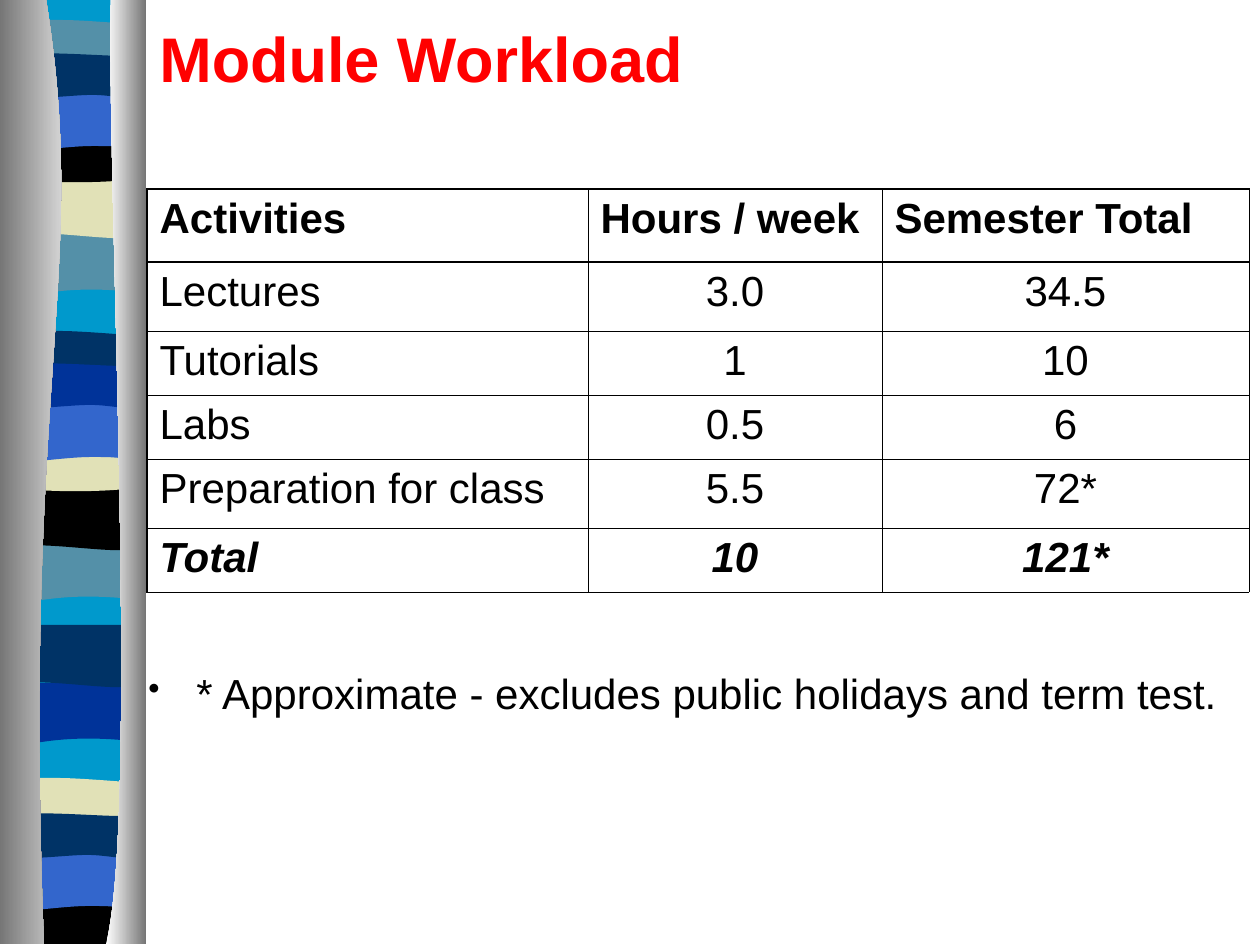
from lxml.etree import SubElement
from pptx import Presentation
from pptx.dml.color import RGBColor
from pptx.enum.text import MSO_ANCHOR, PP_ALIGN
from pptx.oxml.ns import qn
from pptx.util import Emu, Pt

SCALE = 914400 / 126
BLACK = RGBColor(0x00, 0x00, 0x00)
RED = RGBColor(0xFF, 0x00, 0x00)
WHITE = RGBColor(0xFF, 0xFF, 0xFF)
GRAY = RGBColor(0x76, 0x76, 0x76)
CYAN = RGBColor(0x00, 0x99, 0xCC)
SLATE = RGBColor(0x54, 0x90, 0xA8)
SAND = RGBColor(0xE1, 0xE1, 0xB7)
BLUE = RGBColor(0x33, 0x66, 0xCC)
ROYAL = RGBColor(0x00, 0x33, 0x99)
NAVY = RGBColor(0x00, 0x33, 0x66)


def write(para, text, size=24, color=BLACK, bold=False, italic=False, align=PP_ALIGN.LEFT):
    para.alignment = align
    span = para.add_run()
    span.text = text
    span.font.name = "Arial"
    span.font.size = Pt(size)
    span.font.color.rgb = color
    span.font.bold = bold
    span.font.italic = italic


def draw_outline(steps, left=0, top=0):
    points = [(left + x, top + y) for step in steps for x, y in zip(step[::2], step[1::2])]
    scaled = [(x * SCALE, y * SCALE) for x, y in points]
    builder = ribbon.shapes.build_freeform(*scaled[0])
    builder.add_line_segments(scaled[1:], close=True)
    shape = builder.convert_to_shape()
    lines = iter(list(shape._element.iter(qn("a:lnTo"))))
    for step in steps[1:]:
        line = next(lines)
        if len(step) == 6:
            line.tag = qn("a:cubicBezTo")
            for _ in range(2):
                control = next(lines)
                line.append(control[0])
                control.getparent().remove(control)
    shape.shadow.inherit = False
    shape.line.fill.background()
    return shape


deck = Presentation()
deck.slide_width = Emu(int(1260 * SCALE))
deck.slide_height = Emu(int(945 * SCALE))
page = deck.slides.add_slide(deck.slide_layouts[6])
ribbon = page.shapes.add_group_shape()

BACKDROP = [(134, 0), (134, 941), (0, 941), (0, 0)]
DRAPE = [(135, 0), (135, 59), (42, 48, 23, 68, 0, 59), (0, 0)]
SWELL = [(135, 0), (135, 59), (112, 69, 42, 52, 0, 59), (0, 0)]
LENS = [(135, 6), (135, 38), (112, 43, 23, 43, 0, 38), (0, 6),
        (9, 0, 29, 1, 52, 1), (74, 1, 117, 5, 135, 6)]
BOWL = [(135, 0), (135, 41), (112, 48, 23, 48, 0, 41), (0, 0), (83, 6, 106, 0, 135, 0)]
BASE = [(135, 0), (135, 47), (0, 47), (0, 0), (83, 6, 106, 0, 135, 0)]
ARCH = [(135, 0), (135, 59), (113, 53, 106, 53, 83, 53), (60, 53, 21, 59, 0, 59), (0, 0)]
WAVE = [(134, 6), (134, 45), (125, 52, 105, 45, 82, 45), (59, 45, 13, 52, 0, 45),
        (0, 6), (19, 0, 91, 6, 112, 6), (135, 6, 129, 6, 134, 6)]

bands = [
    (BACKDROP, 10, -1, CYAN),
    (DRAPE, 9, 234, SLATE), (SWELL, 10, 176, SAND), (LENS, 10, 19, SLATE),
    (BOWL, 9, 136, BLACK), (ARCH, 9, 93, BLUE), (WAVE, 10, 50, NAVY),
    (DRAPE, 6, 541, SLATE), (SWELL, 8, 488, BLACK), (LENS, 8, 330, NAVY),
    (BOWL, 8, 445, SAND), (ARCH, 8, 404, BLUE), (WAVE, 8, 360, ROYAL),
    (DRAPE, 6, 683, ROYAL), (SWELL, 8, 625, NAVY), (LENS, 6, 777, SAND),
    (BASE, 6, 897, BLACK), (ARCH, 5, 853, BLUE), (WAVE, 5, 810, NAVY),
]
for outline, left, top, color in bands:
    band = draw_outline(outline, left, top)
    band.fill.solid()
    band.fill.fore_color.rgb = color

columns = [
    ([(46, -1), (90, 272, 22, 373, 44, 944), (0, 944), (0, -1)], GRAY, WHITE),
    ([(111, -1), (106, 158, 140, 814, 106, 944), (146, 944), (146, 0)], WHITE, GRAY),
]
for outline, start, end in columns:
    column = draw_outline(outline)
    column.fill.gradient()
    column.fill.gradient_angle = 0
    for stop, color in zip(column.fill.gradient_stops, (start, end)):
        stop.color.rgb = color

title = page.shapes.add_textbox(*[Emu(int(v * SCALE)) for v in (147, 0, 1071, 115)])
title.text_frame.word_wrap = True
title.text_frame.vertical_anchor = MSO_ANCHOR.MIDDLE
write(title.text_frame.paragraphs[0], "Module Workload", size=36, color=RED, bold=True)

rows = [
    ("Activities", "Hours / week", "Semester Total"),
    ("Lectures", "3.0", "34.5"),
    ("Tutorials", "1", "10"),
    ("Labs", "0.5", "6"),
    ("Preparation for class", "5.5", "72*"),
    ("Total", "10", "121*"),
]
widths = [441, 294, 367]
heights = [73, 69, 64, 64, 69, 64]
frame = page.shapes.add_table(
    len(rows), len(widths),
    *[Emu(int(v * SCALE)) for v in (147, 189, sum(widths), sum(heights))])
workload = frame.table
workload.first_row = False
workload.horz_banding = False
for column, width in zip(workload.columns, widths):
    column.width = Emu(int(width * SCALE))
for r, (row, height) in enumerate(zip(rows, heights)):
    workload.rows[r].height = Emu(int(height * SCALE))
    for c, text in enumerate(row):
        cell = workload.cell(r, c)
        write(cell.text_frame.paragraphs[0], text,
              bold=r in (0, 5), italic=r == 5,
              align=PP_ALIGN.CENTER if r and c else PP_ALIGN.LEFT)
        properties = cell._tc.get_or_add_tcPr()
        sides = [("a:lnL", c == 0), ("a:lnR", False), ("a:lnT", r < 2), ("a:lnB", r == 0)]
        for tag, thick in sides:
            border = SubElement(properties, qn(tag), w=str(Pt(1.08 if thick else 0.45)))
            fill = SubElement(border, qn("a:solidFill"))
            SubElement(fill, qn("a:srgbClr"), val=str(BLACK))
        cell.fill.background()

note = page.shapes.add_textbox(*[Emu(int(v * SCALE)) for v in (136, 661, 1113, 63)])
note.text_frame.word_wrap = True
para = note.text_frame.paragraphs[0]
indent = int(48 * SCALE)
settings = para._p.get_or_add_pPr()
settings.set("marL", str(indent))
settings.set("indent", str(-indent))
bullet_color = SubElement(settings, qn("a:buClr"))
SubElement(bullet_color, qn("a:srgbClr"), val=str(BLACK))
SubElement(settings, qn("a:buSzPct"), val="80000")
SubElement(settings, qn("a:buChar"), char="•")
write(para, "* Approximate - excludes public holidays and term test.")

deck.save("out.pptx")
